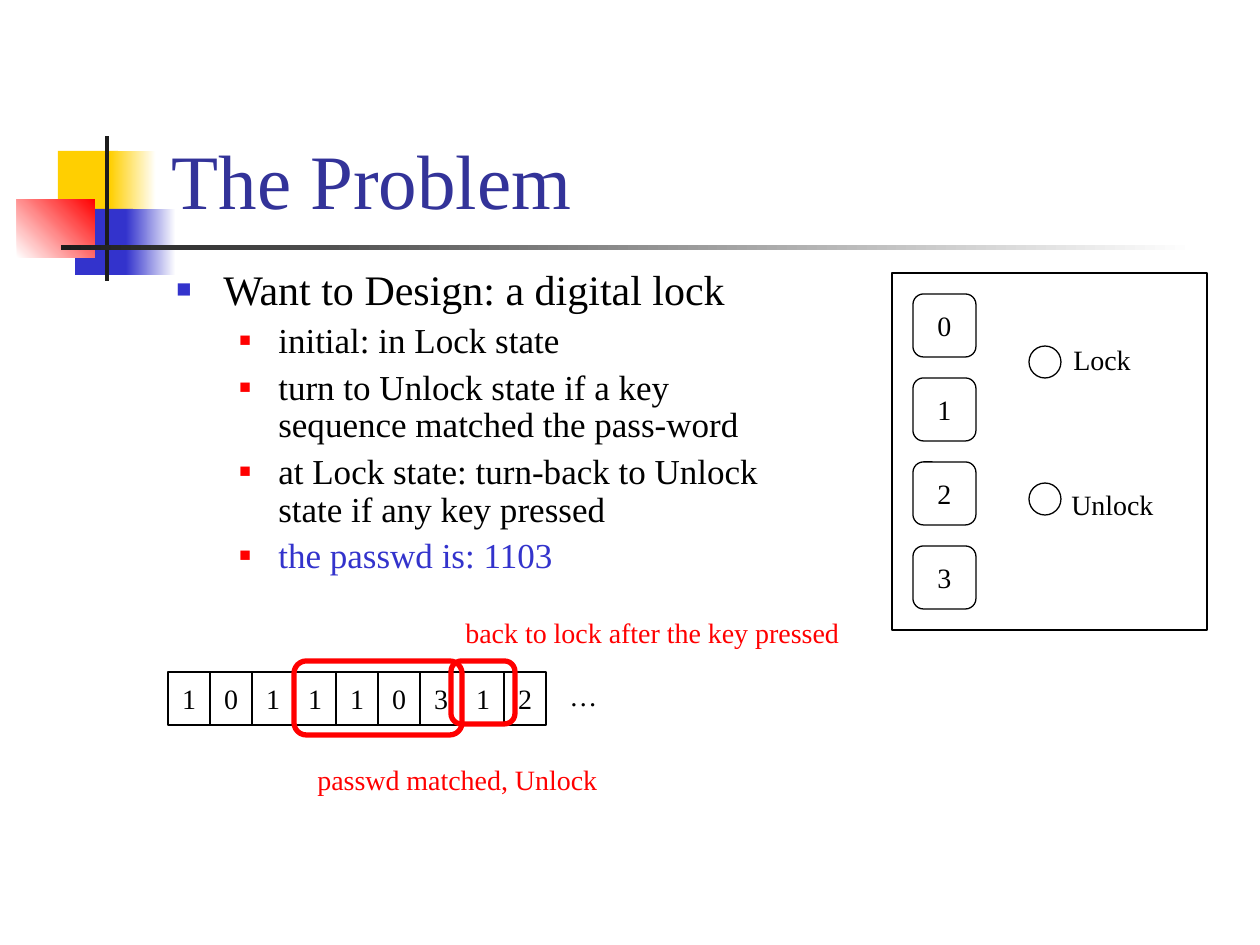
"""Build a slide that states the digital lock problem."""
from lxml import etree
from pptx import Presentation, util as u
from pptx.dml.color import RGBColor
from pptx.enum import shapes, text
from pptx.oxml.ns import qn

PX = 914400 / 126
FONT = "Times New Roman"
BLACK, RED, BLUE, WHITE = "000000", "FF0000", "3333CC", "FFFFFF"
RECT = shapes.MSO_SHAPE.RECTANGLE
ROUND = shapes.MSO_SHAPE.ROUNDED_RECTANGLE
OVAL = shapes.MSO_SHAPE.OVAL

TITLE = "The Problem"
BULLETS = [
    (0, "Want to Design: a digital lock", BLACK),
    (1, "initial: in Lock state", BLACK),
    (1, "turn to Unlock state if a key sequence matched the pass-word", BLACK),
    (1, "at Lock state: turn-back to Unlock state if any key pressed", BLACK),
    (1, "the passwd is: 1103", BLUE),
]
LEVELS = [
    dict(size=24, before=6, left=47, hang=47, color=BLUE, scale=60),
    dict(size=20, before=5, left=102, hang=39, color=RED, scale=55),
]
DECOR = [
    ((58, 151, 60, 66), ("FFCF01",), 0),
    ((110, 151, 46, 66), ("FFCF01", WHITE), 0),
    ((75, 209, 58, 66), (BLUE,), 0),
    ((126, 209, 50, 66), (BLUE, WHITE), 0),
    ((17, 199, 78, 59), (WHITE, RED), 45),
    ((105, 136, 4, 145), ("1C1C1C",), 0),
    ((61, 245, 1134, 5), ("1C1C1C", WHITE), 0),
]
KEYS = "0123"
SEQUENCE = "101110312"
OUTLINES = [
    (RECT, (892, 273, 315, 357), BLACK, 0.75),
    (OVAL, (1029, 346, 32, 32), BLACK, 0.75),
    (OVAL, (1029, 483, 32, 32), BLACK, 0.75),
    (ROUND, (294, 661, 168, 74), RED, 3),
    (ROUND, (451, 661, 64, 63), RED, 3),
]
LABELS = [
    ("Lock", (1061, 336, 90, 47), BLACK),
    ("Unlock", (1059, 481, 115, 47), BLACK),
    ("…", (557, 672, 60, 47), BLACK),
    ("passwd matched, Unlock", (305, 756, 315, 47), RED),
    ("back to lock after the key pressed", (453, 609, 410, 47), RED),
]


def rgb(value):
    return RGBColor.from_string(value)


def emu(box):
    return [round(v * PX) for v in box]


def set_all(obj, **values):
    for name, value in values.items():
        setattr(obj, name, value)


def write(p, words, size, color, align=text.PP_ALIGN.LEFT):
    p.alignment = align
    r = p.add_run()
    r.text = words
    set_all(r.font, size=u.Pt(size), name=FONT)
    r.font.color.rgb = rgb(color)


def add_shape(s, kind, box):
    sp = s.shapes.add_shape(kind, *emu(box))
    sp.shadow.inherit = False
    return sp


def add_decor(s, box, colors, angle):
    sp = add_shape(s, RECT, box)
    sp.line.fill.background()
    if len(colors) == 1:
        sp.fill.solid()
        sp.fill.fore_color.rgb = rgb(colors[0])
        return
    sp.fill.gradient()
    sp.fill.gradient_angle = angle
    for stop, position, color in zip(sp.fill.gradient_stops, (0, 1), colors):
        stop.position = position
        stop.color.rgb = rgb(color)


def add_outline(s, kind, box, color=BLACK, width=0.75, words=""):
    sp = add_shape(s, kind, box)
    sp.fill.background()
    sp.line.color.rgb = rgb(color)
    sp.line.width = u.Pt(width)
    if words:
        tf = sp.text_frame
        set_all(tf, word_wrap=False, vertical_anchor=text.MSO_ANCHOR.MIDDLE)
        write(tf.paragraphs[0], words, 16, BLACK, text.PP_ALIGN.CENTER)


def add_label(s, words, box, color):
    tf = s.shapes.add_textbox(*emu(box)).text_frame
    set_all(tf, word_wrap=True, auto_size=text.MSO_AUTO_SIZE.NONE)
    write(tf.paragraphs[0], words, 16, color)


def add_bullet(p, level):
    pPr = p._p.get_or_add_pPr()
    pPr.set("marL", str(round(level["left"] * PX)))
    pPr.set("indent", str(-round(level["hang"] * PX)))
    color = etree.SubElement(pPr, qn("a:buClr"))
    etree.SubElement(color, qn("a:srgbClr"), val=level["color"])
    etree.SubElement(pPr, qn("a:buSzPct"), val=str(level["scale"] * 1000))
    etree.SubElement(pPr, qn("a:buFont"), typeface=FONT)
    etree.SubElement(pPr, qn("a:buChar"), char="■")


def add_title(s):
    sp = s.shapes.title
    left, top, width, height = emu((159, 29, 1074, 202))
    set_all(sp, left=left, top=top, width=width, height=height)
    tf = sp.text_frame
    set_all(tf, word_wrap=True, vertical_anchor=text.MSO_ANCHOR.BOTTOM,
            auto_size=text.MSO_AUTO_SIZE.NONE)
    write(tf.paragraphs[0], TITLE, 44, "333399")


def add_body(s):
    tf = s.shapes.add_textbox(*emu((164, 263, 630, 368))).text_frame
    tf.word_wrap = True
    for i, (depth, words, color) in enumerate(BULLETS):
        p = tf.add_paragraph() if i else tf.paragraphs[0]
        level = LEVELS[depth]
        add_bullet(p, level)
        set_all(p, level=depth, line_spacing=0.9,
                space_before=u.Pt(level["before"] if i else 0))
        write(p, words, level["size"], color)


def main():
    prs = Presentation()
    set_all(prs, slide_width=u.Inches(10), slide_height=u.Inches(7.5))
    s = prs.slides.add_slide(prs.slide_layouts[5])
    for item in DECOR:
        add_decor(s, *item)
    add_title(s)
    add_body(s)
    for i, key in enumerate(KEYS):
        add_outline(s, ROUND, (913, 294 + 84 * i, 63, 63), words=key)
    for i, digit in enumerate(SEQUENCE):
        add_outline(s, RECT, (168 + 42 * i, 672, 42, 53), words=digit)
    for item in OUTLINES:
        add_outline(s, *item)
    for item in LABELS:
        add_label(s, *item)
    prs.save("out.pptx")


if __name__ == "__main__":
    main()
